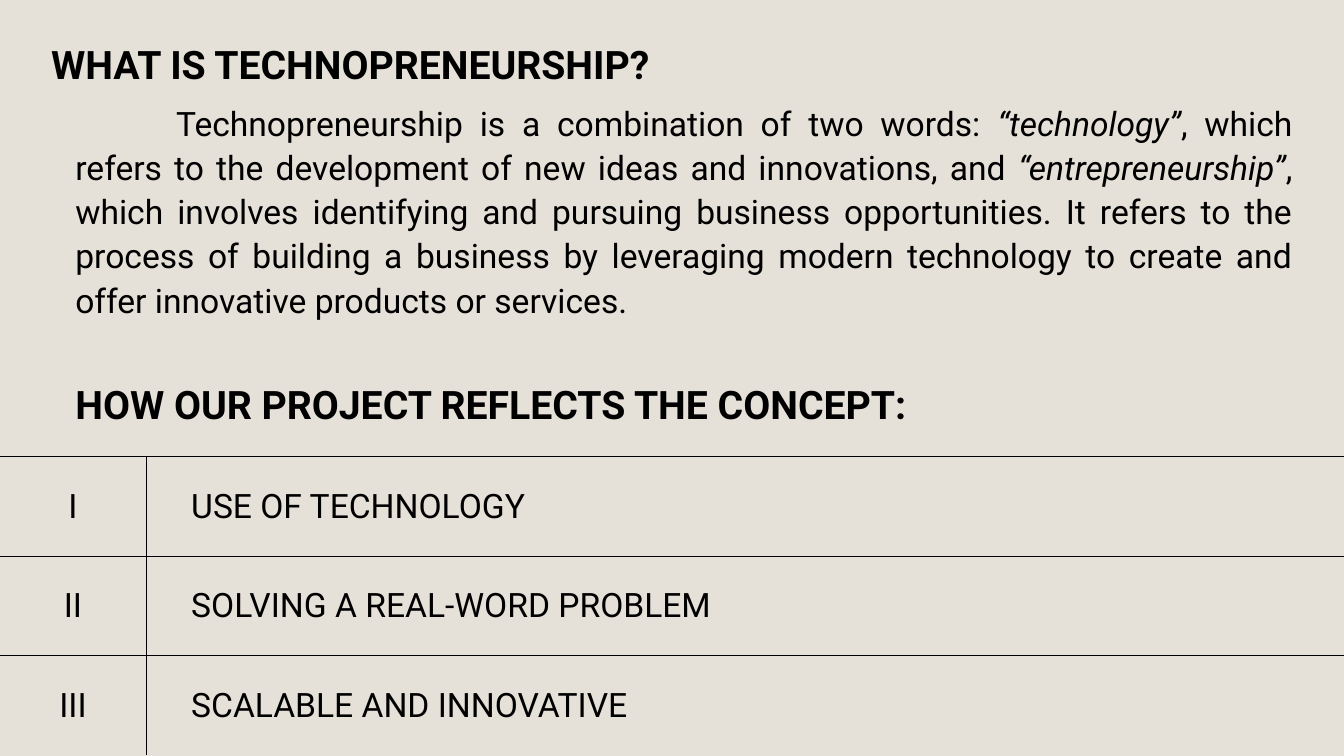
import pptx
import pptx.dml.color
import pptx.enum.text
import pptx.oxml
import pptx.oxml.ns
import pptx.util

Cm = pptx.util.Cm
Pt = pptx.util.Pt
Align = pptx.enum.text.PP_ALIGN
Anchor = pptx.enum.text.MSO_ANCHOR


class Theme:
    font = "Roboto"
    ink = pptx.dml.color.RGBColor.from_string("000000")
    paper = pptx.dml.color.RGBColor.from_string("E5E0D8")
    head = Pt(28)
    body = Pt(24)
    lead = Pt(31.6)
    rule = Pt(0.75)


def add_run(para, text, size, bold=False, slant=False):
    run = para.add_run()
    run.text = text
    run.font.name = Theme.font
    run.font.size = size
    run.font.bold = bold
    run.font.italic = slant
    run.font.color.rgb = Theme.ink


def add_box(left, top, width, height, anchor=Anchor.TOP):
    frame = slide.shapes.add_textbox(Cm(left), Cm(top), Cm(width), Cm(height)).text_frame
    frame.word_wrap = True
    frame.vertical_anchor = anchor
    return frame.paragraphs[0]


# Slide
deck = pptx.Presentation()
deck.slide_width = Cm(33.87)
deck.slide_height = Cm(19.05)
slide = deck.slides.add_slide(deck.slide_layouts[6])
slide.background.fill.solid()
slide.background.fill.fore_color.rgb = Theme.paper

# Title
title = add_box(1.04, 0.53, 19.1, 2.31, Anchor.MIDDLE)
title.line_spacing = 0.9
add_run(title, "WHAT IS TECHNOPRENEURSHIP?", Theme.head, bold=True)

# Definition and second heading
about = add_box(1.04, 2.36, 31.78, 5.89)
parts = [
    ("Technopreneurship is a combination of two words: ", False),
    ("“technology”", True),
    (", which refers to the development of new ideas and innovations, and ", False),
    ("“entrepreneurship”", True),
    (", which involves identifying and pursuing business opportunities. "
     "It refers to the process of building a business by leveraging modern "
     "technology to create and offer innovative products or services.", False),
]
for text, slant in parts:
    add_run(about, text, Theme.body, slant=slant)

topic = add_box(1.04, 9.53, 24.13, 1.4)
add_run(topic, "HOW OUR PROJECT REFLECTS THE CONCEPT:", Theme.head, bold=True)

for para, indent in [(about, 2.54), (topic, 0)]:
    para.alignment = Align.JUSTIFY
    para.line_spacing = Theme.lead
    props = para._p.get_or_add_pPr()
    props.set("marL", str(Cm(0.61)))
    props.set("indent", str(Cm(indent)))

# Table of points
points = [
    ("I", "USE OF TECHNOLOGY"),
    ("II", "SOLVING A REAL-WORD PROBLEM"),
    ("III", "SCALABLE AND INNOVATIVE"),
]
widths = [3.68, 30.19]
pitch = 2.51
table = slide.shapes.add_table(
    len(points), len(widths), Cm(0), Cm(11.51), Cm(sum(widths)), Cm(pitch * len(points))
).table
table.first_row = False
table.horz_banding = False
for col, width in zip(table.columns, widths):
    col.width = Cm(width)

for r, point in enumerate(points):
    table.rows[r].height = Cm(pitch)
    for c, text in enumerate(point):
        cell = table.cell(r, c)
        cell.vertical_anchor = Anchor.MIDDLE
        cell.fill.background()
        para = cell.text_frame.paragraphs[0]
        add_run(para, text, Theme.body)
        if c == 0:
            para.alignment = Align.CENTER
        else:
            cell.margin_left = Cm(1.14)

        # Rules above each row and between the columns
        sides = {"lnL": c == 1, "lnR": c == 0, "lnT": True, "lnB": r < len(points) - 1}
        for i, (side, drawn) in enumerate(sides.items()):
            paint = (f'<a:solidFill><a:srgbClr val="{Theme.ink}"/></a:solidFill>'
                     if drawn else "<a:noFill/>")
            line = pptx.oxml.parse_xml(
                f'<a:{side} {pptx.oxml.ns.nsdecls("a")} w="{Theme.rule}">{paint}</a:{side}>')
            cell._tc.get_or_add_tcPr().insert(i, line)

deck.save("out.pptx")
